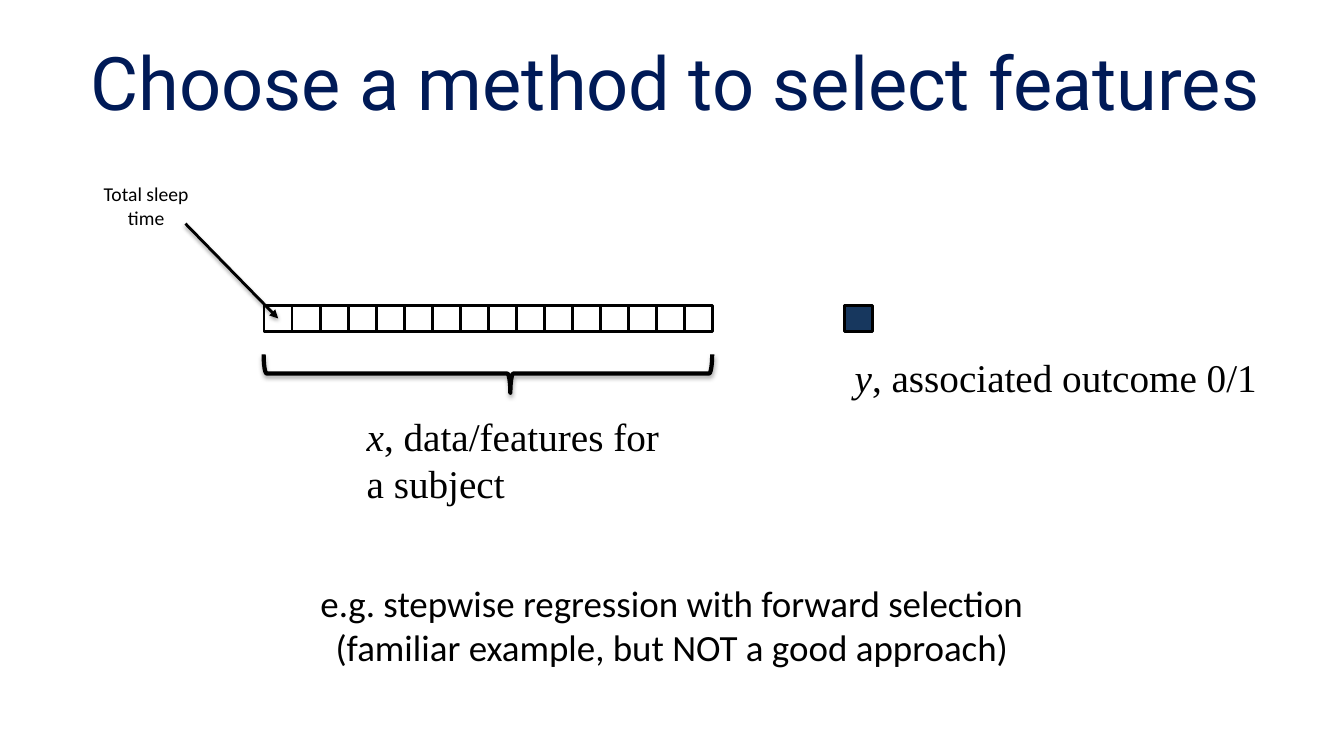
from dataclasses import dataclass

from lxml.etree import SubElement
from pptx import Presentation
from pptx.dml.color import RGBColor
from pptx.enum.shapes import MSO_CONNECTOR as Connector, MSO_SHAPE as Shape
from pptx.enum.text import MSO_ANCHOR as Anchor, MSO_AUTO_SIZE as AutoSize, PP_ALIGN as Align
from pptx.oxml.ns import qn
from pptx.slide import Slide
from pptx.text.text import TextFrame
from pptx.util import Pt

COLORS = {"black": "000000", "title": "001A57", "outcome": "17375E"}
CELL_COUNT = 16
CELL_LEFT, CELL_TOP = 188.6, 218.2
CELL_WIDTH, CELL_HEIGHT = 20.03, 18.7


@dataclass(frozen=True)
class Run:
    text: str
    italic: bool = False


@dataclass(frozen=True)
class Paragraph:
    runs: tuple[Run, ...]
    align: Align = Align.LEFT


@dataclass(frozen=True)
class Label:
    left: float
    top: float
    width: float
    height: float
    font: str
    size: float
    paragraphs: tuple[Paragraph, ...]
    wrap: bool = True


@dataclass(frozen=True)
class Cell:
    left: float
    fill: str | None = None


LABELS = (
    Label(254.9, 290.9, 235.4, 74.9, "Times New Roman", 28,
          (Paragraph((Run("x", True), Run(", data/features for a subject"))),)),
    Label(603.4, 249.1, 311, 41, "Times New Roman", 28,
          (Paragraph((Run("y", True), Run(", associated outcome 0/1"))),)),
    Label(221.8, 411.1, 521.3, 71.3, "Calibri", 26.4,
          (Paragraph((Run("e.g. stepwise regression with forward selection"),)),
           Paragraph((Run("(familiar example, but NOT a good approach)"),), Align.CENTER)),
          wrap=False),
    Label(64.8, 126.7, 79.2, 41, "Calibri", 14,
          (Paragraph((Run("Total sleep time"),), Align.CENTER),)),
)
CELLS = tuple(Cell(CELL_LEFT + index * CELL_WIDTH) for index in range(CELL_COUNT)) + (
    Cell(603.4, "outcome"),
)


def color(name: str) -> RGBColor:
    return RGBColor.from_string(COLORS[name])


def add_paragraphs(frame: TextFrame, paragraphs: tuple[Paragraph, ...],
                   font: str, size: float, color_name: str) -> None:
    for index, item in enumerate(paragraphs):
        paragraph = frame.add_paragraph() if index else frame.paragraphs[0]
        paragraph.alignment = item.align
        for part in item.runs:
            run = paragraph.add_run()
            run.text = part.text
            run.font.name = font
            run.font.size = Pt(size)
            run.font.italic = part.italic
            run.font.color.rgb = color(color_name)


def add_title(slide: Slide) -> None:
    title = slide.shapes.title
    title.left, title.top, title.width, title.height = Pt(14.4), Pt(13), Pt(936), Pt(90)
    title.text_frame.vertical_anchor = Anchor.MIDDLE
    heading = Paragraph((Run("Choose a method to select features"),), Align.CENTER)
    add_paragraphs(title.text_frame, (heading,), "Roboto", 52.8, "title")


def add_label(slide: Slide, label: Label) -> None:
    box = slide.shapes.add_textbox(
        Pt(label.left), Pt(label.top), Pt(label.width), Pt(label.height))
    box.text_frame.word_wrap = label.wrap
    box.text_frame.auto_size = AutoSize.SHAPE_TO_FIT_TEXT
    add_paragraphs(box.text_frame, label.paragraphs, label.font, label.size, "black")


def add_cell(slide: Slide, cell: Cell) -> None:
    shape = slide.shapes.add_shape(
        Shape.RECTANGLE, Pt(cell.left), Pt(CELL_TOP), Pt(CELL_WIDTH), Pt(CELL_HEIGHT))
    shape.line.color.rgb = color("black")
    shape.line.width = Pt(2)
    shape.shadow.inherit = False
    if cell.fill:
        shape.fill.solid()
        shape.fill.fore_color.rgb = color(cell.fill)
    else:
        shape.fill.background()


def add_shadow(properties, opacity: int, distance: float) -> None:
    effects = SubElement(properties, qn("a:effectLst"))
    shadow = SubElement(effects, qn("a:outerShdw"), blurRad=str(Pt(3.1)),
                        dist=str(Pt(distance)), dir="5400000", rotWithShape="0")
    shade = SubElement(shadow, qn("a:srgbClr"), val=COLORS["black"])
    SubElement(shade, qn("a:alpha"), val=str(opacity * 1000))


def add_brace(slide: Slide) -> None:
    brace = slide.shapes.add_shape(Shape.LEFT_BRACE, Pt(334.8), Pt(106.6), Pt(27.4), Pt(320.4))
    brace.rotation = 270
    brace.adjustments[0] = 0.08
    brace.adjustments[1] = 0.55
    brace.fill.background()
    brace.line.color.rgb = color("black")
    brace.line.width = Pt(3)
    add_shadow(brace._element.spPr, 35, 1.8)


def add_arrow(slide: Slide) -> None:
    arrow = slide.shapes.add_connector(
        Connector.STRAIGHT, Pt(132.5), Pt(159.8), Pt(198.7), Pt(227.5))
    arrow.line.color.rgb = color("black")
    arrow.line.width = Pt(2)
    SubElement(arrow.line._get_or_add_ln(), qn("a:tailEnd"), type="triangle")
    add_shadow(arrow._element.spPr, 38, 1.6)


def main() -> None:
    presentation = Presentation()
    presentation.slide_width, presentation.slide_height = Pt(960), Pt(540)
    slide = presentation.slides.add_slide(presentation.slide_layouts[5])
    add_title(slide)
    add_brace(slide)
    for label in LABELS:
        add_label(slide, label)
    for cell in CELLS:
        add_cell(slide, cell)
    add_arrow(slide)
    presentation.save("out.pptx")


if __name__ == "__main__":
    main()
